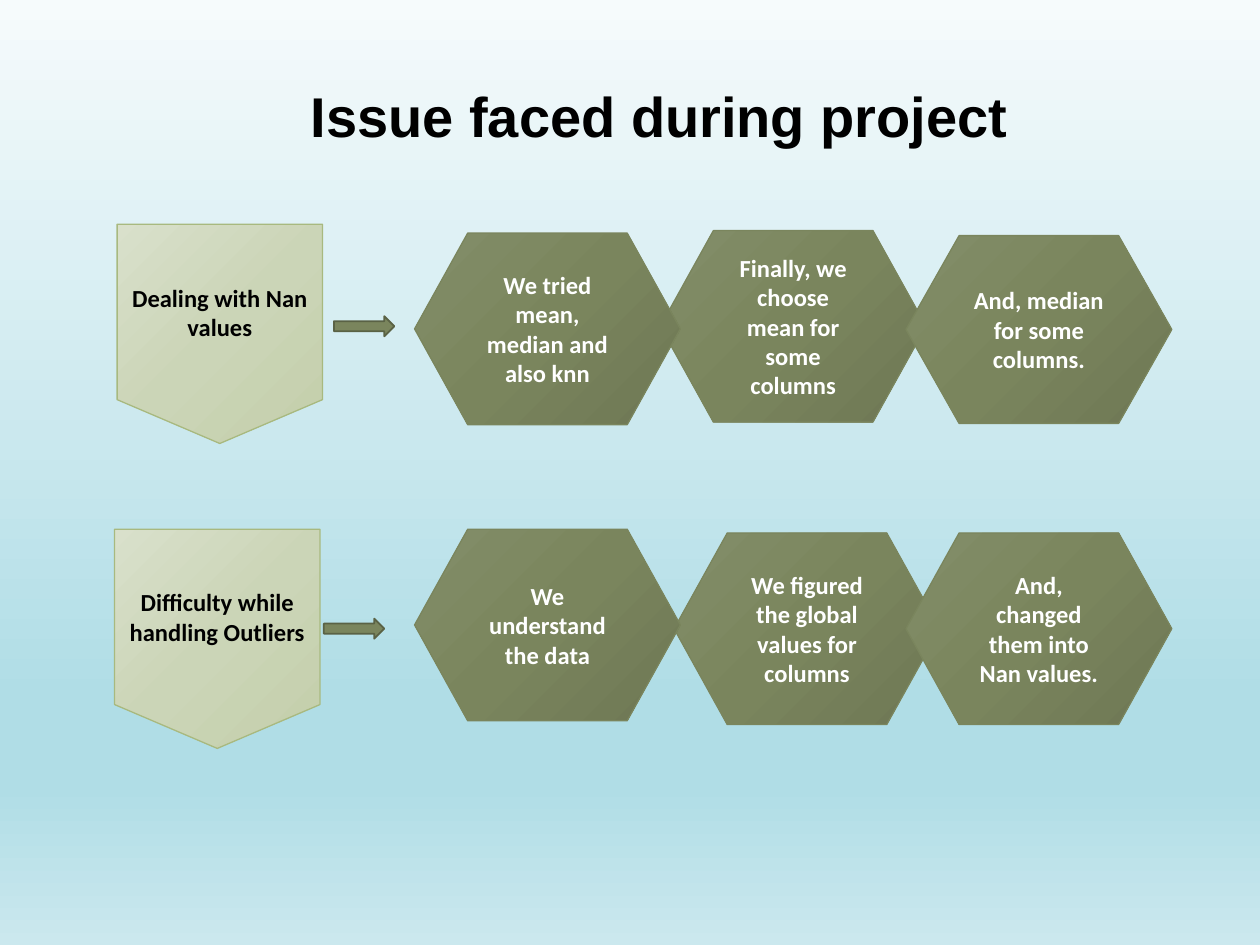
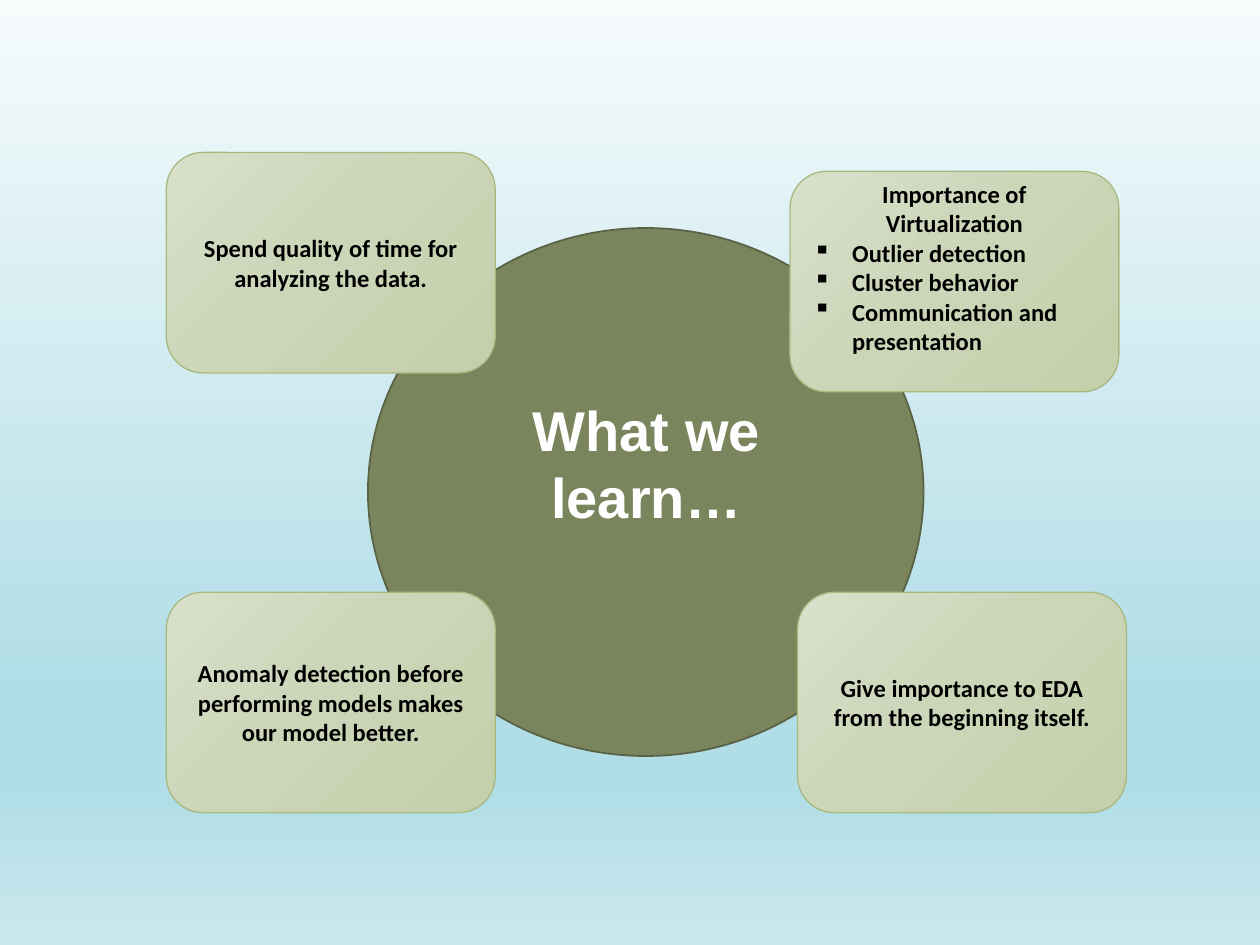
from dataclasses import dataclass

from lxml import etree
from pptx import Presentation
from pptx import util as u
from pptx.dml.color import RGBColor
from pptx.enum import shapes, text
from pptx.oxml.ns import qn

KIND = shapes.MSO_SHAPE


@dataclass(frozen=True)
class Theme:
    title_font: str = "Arial"
    body_font: str = "Calibri"
    title_size: int = 32
    body_size: int = 14
    dark: str = "000000"
    light: str = "FFFFFF"
    olive: str = "7A855D"
    olive_edge: str = "5A6245"
    pale_edge: str = "A8B97F"
    sky: tuple = ((0, "F6FBFC"), (74, "B0DDE6"), (83, "B0DDE6"), (100, "CBE8EE"))
    pale: tuple = ((0, "D9E0CB"), (50, "CBD5B7"), (100, "C4CFAB"))
    olive_blend: tuple = ((0, "838E69"), (50, "7A855D"), (100, "6E7754"))


THEME = Theme()

# Content: each issue with its steps; step nudges are (right, down, taller)
ISSUES_TITLE = "Issue faced during project"
ISSUES = [
    dict(name="Dealing with Nan values", tag=(0.93, 1.78), arrow=(2.65, 2.51), top=1.85,
         steps=[("We tried mean, median and also knn", (0, 0, 0)),
                ("Finally, we choose mean for some columns", (0, -0.02, 0)),
                ("And, median for some columns.", (0, 0.02, -0.03))]),
    dict(name="Difficulty while handling Outliers", tag=(0.91, 4.2), arrow=(2.57, 4.91), top=4.2,
         steps=[("We understand the data", (0, 0, 0)),
                ("We figured the global values for columns", (0.11, 0.03, 0)),
                ("And, changed them into Nan values.", (0, 0.03, 0))]),
]
LESSONS_TITLE = "What we learn…"
LESSONS = [
    ((1.32, 1.21), "Spend quality of time for analyzing the data.", []),
    ((6.33, 4.7), "Give importance to EDA from the beginning itself.", []),
    ((6.27, 1.36), "Importance of Virtualization",
     ["Outlier detection", "Cluster behavior", "Communication and presentation"]),
    ((1.32, 4.7), "Anomaly detection before performing models makes our model better.", []),
]

# Grid, in inches
TAG_SIZE = (1.63, 1.74)
ARROW_SIZE = (0.48, 0.16)
STEP_LEFT, STEP_PITCH, STEP_WIDTH, STEP_HEIGHT = 3.29, 1.95, 2.11, 1.52
STEP_ORDER = (1, 2, 0)  # the first step lies on top of the second
CIRCLE = (2.92, 1.81, 4.41, 4.19)
CARD_SIZE = (2.61, 1.75)


def blend(owner, fill, stops, angle):
    """Fill with a gradient of any number of stops, angle clockwise."""
    fill.gradient()
    fill.gradient_angle = 360 - angle
    stop_list = next(owner.element.iter(qn("a:gsLst")))
    stop_list[:] = []
    for position, color in stops:
        stop = etree.SubElement(stop_list, qn("a:gs"), pos=str(position * 1000))
        etree.SubElement(stop, qn("a:srgbClr"), val=color)


def style(paragraph, color, font, size, align=text.PP_ALIGN.CENTER):
    paragraph.alignment = align
    for run in paragraph.runs:
        run.font.name, run.font.size, run.font.bold = font, u.Pt(size), True
        run.font.color.rgb = RGBColor.from_string(color)


def add_box(slide, kind, box, fill, edge, weight=0.75, label="", color=THEME.dark):
    shape = slide.shapes.add_shape(kind, *map(u.Inches, box))
    shape.shadow.inherit = False
    if isinstance(fill, str):
        shape.fill.solid()
        shape.fill.fore_color.rgb = RGBColor.from_string(fill)
    else:
        blend(shape, shape.fill, fill, 45)
    shape.line.color.rgb = RGBColor.from_string(edge)
    shape.line.width = u.Pt(weight)
    if label:
        shape.text_frame.text = label
        style(shape.text_frame.paragraphs[0], color, THEME.body_font, THEME.body_size)
    return shape


def add_bullet(frame, label):
    paragraph = frame.add_paragraph()
    paragraph.text = label
    properties = paragraph._p.get_or_add_pPr()
    properties.set("marL", str(u.Inches(0.31)))
    properties.set("indent", str(-u.Inches(0.31)))
    bullet_color = etree.SubElement(properties, qn("a:buClr"))
    etree.SubElement(bullet_color, qn("a:srgbClr"), val=THEME.dark)
    etree.SubElement(properties, qn("a:buChar"), char="▪")
    style(paragraph, THEME.dark, THEME.body_font, THEME.body_size, text.PP_ALIGN.LEFT)


def place_title(slide, label, box, color):
    title = slide.shapes.title
    title.left, title.top, title.width, title.height = map(u.Inches, box)
    frame = title.text_frame
    frame.text = label
    frame.word_wrap = True
    frame.auto_size = text.MSO_AUTO_SIZE.NONE
    frame.vertical_anchor = text.MSO_ANCHOR.MIDDLE
    style(frame.paragraphs[0], color, THEME.title_font, THEME.title_size)
    slide.shapes.element.append(title.element)  # bring to the front


def build_issues(slide):
    place_title(slide, ISSUES_TITLE, (2.36, 0.59, 5.75, 0.64), THEME.dark)
    for issue in ISSUES:
        add_box(slide, KIND.FLOWCHART_OFFPAGE_CONNECTOR, issue["tag"] + TAG_SIZE,
                THEME.pale, THEME.pale_edge, label=issue["name"])
        add_box(slide, KIND.RIGHT_ARROW, issue["arrow"] + ARROW_SIZE,
                THEME.olive, THEME.olive_edge, 1)
        for column in STEP_ORDER:
            label, (right, down, taller) = issue["steps"][column]
            box = (STEP_LEFT + column * STEP_PITCH + right, issue["top"] + down,
                   STEP_WIDTH, STEP_HEIGHT + taller)
            add_box(slide, KIND.FLOWCHART_PREPARATION, box, THEME.olive_blend,
                    THEME.olive, label=label, color=THEME.light)


def build_lessons(slide):
    add_box(slide, KIND.OVAL, CIRCLE, THEME.olive, THEME.olive_edge, 1)
    place_title(slide, LESSONS_TITLE, (3.57, 3.07, 3.12, 1.2), THEME.light)
    for corner, label, bullets in LESSONS:
        card = add_box(slide, KIND.ROUNDED_RECTANGLE, corner + CARD_SIZE,
                       THEME.pale, THEME.pale_edge, label=label)
        if bullets:  # the list sits a little above the middle
            card.text_frame.margin_top, card.text_frame.margin_bottom = 0, u.Inches(0.23)
        for bullet in bullets:
            add_bullet(card.text_frame, bullet)


def main():
    presentation = Presentation()
    presentation.slide_width, presentation.slide_height = u.Inches(10), u.Inches(7.5)
    master = presentation.slide_master
    blend(master, master.background.fill, THEME.sky, 90)
    title_only = presentation.slide_layouts[5]
    for build in (build_issues, build_lessons):
        build(presentation.slides.add_slide(title_only))
    presentation.save("out.pptx")


if __name__ == "__main__":
    main()
